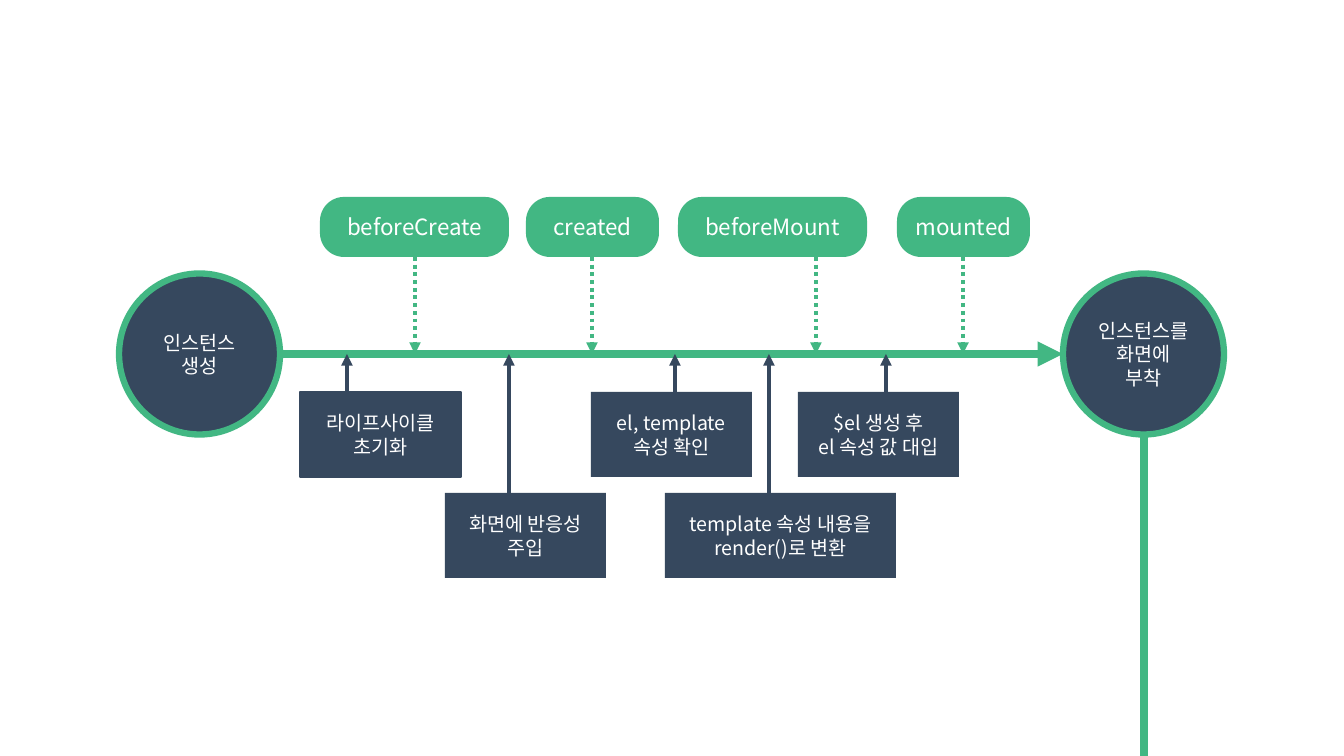
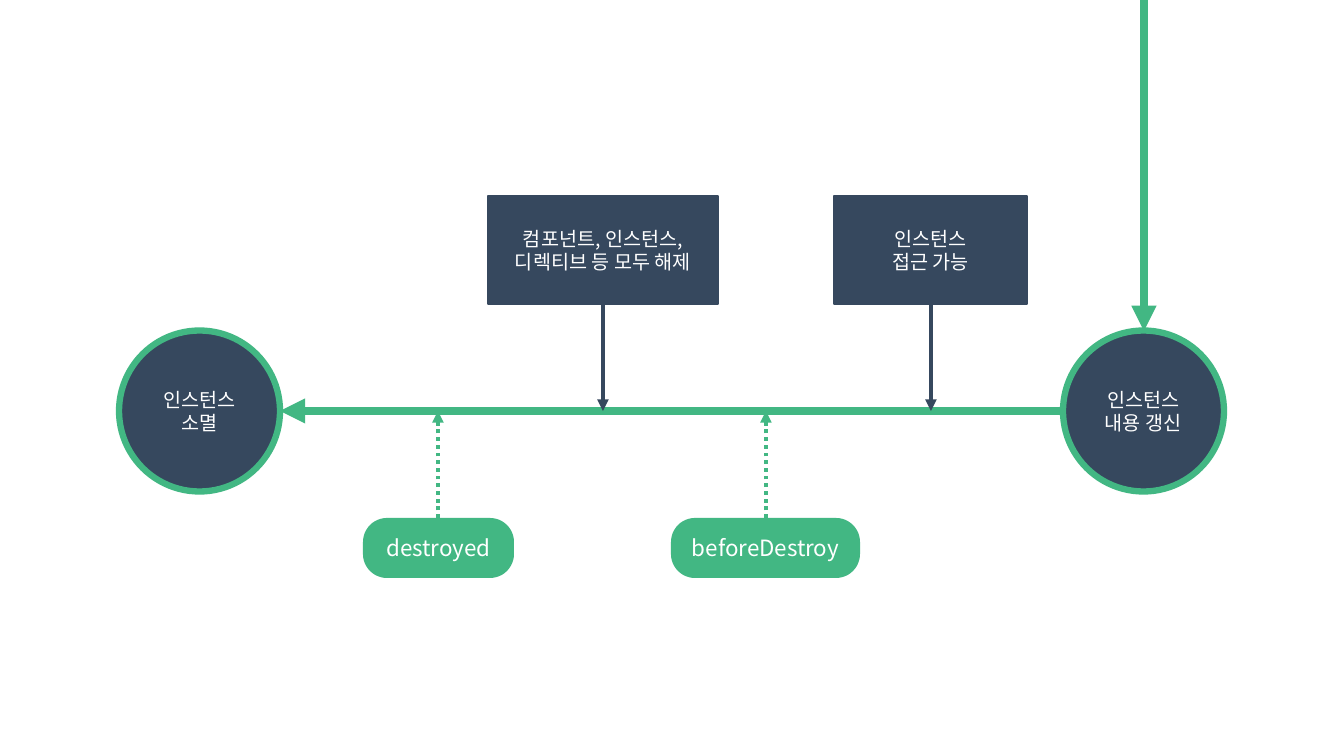
from lxml import etree
from pptx import Presentation
from pptx.dml.color import RGBColor
from pptx.enum.dml import MSO_LINE
from pptx.enum.shapes import MSO_CONNECTOR, MSO_SHAPE
from pptx.enum.text import MSO_ANCHOR, PP_ALIGN
from pptx.oxml.ns import qn
from pptx.util import Emu, Pt

PX = 914400 / 100.8
COLORS = {"green": "42B783", "navy": "36485E", "white": "FFFFFF"}
NOTO = "Noto Sans CJK KR"
WIDTH, HEIGHT = 1344, 756
CIRCLE = 161
LEFT_X, RIGHT_X = 119, 1063
TRUNK_X = 1144
PILL_H = 60

SLIDES = [
    {
        "axis": 354,
        "circles": [(LEFT_X, "인스턴스 생성"), (RIGHT_X, "인스턴스를 화면에 부착")],
        "flow": (LEFT_X + CIRCLE, RIGHT_X),
        "trunk": (434, HEIGHT, False),
        "pill_y": 197,
        "pills": [
            (320, 189, 415, "beforeCreate"),
            (526, 133, 592, "created"),
            (678, 189, 816, "beforeMount"),
            (897, 133, 963, "mounted"),
        ],
        "box_h": 85,
        "boxes": [
            (300, 392, 161, 347, 1, "라이프사이클\n초기화"),
            (591, 392, 161, 675, 0, "el, template\n속성 확인"),
            (798, 392, 161, 886, 0, "$el 생성 후\nel 속성 값 대입"),
            (445, 493, 161, 509, 0, "화면에 반응성 주입"),
            (665, 493, 231, 769, 0, "template 속성 내용을 render()로 변환"),
        ],
    },
    {
        "axis": 411,
        "circles": [(LEFT_X, "인스턴스 소멸"), (RIGHT_X, "인스턴스 내용 갱신")],
        "flow": (RIGHT_X, LEFT_X + CIRCLE),
        "trunk": (0, 331, True),
        "pill_y": 518,
        "pills": [
            (671, 189, 766, "beforeDestroy"),
            (363, 151, 438, "destroyed"),
        ],
        "box_h": 108,
        "boxes": [
            (488, 196, 230, 603, 1, "컴포넌트, 인스턴스, 디렉티브 등 모두 해제"),
            (834, 196, 193, 931, 1, "인스턴스\n접근 가능"),
        ],
    },
]


def add_node(s, kind, box, fill, text, size=14, font=NOTO, line=None, width=0):
    sp = s.shapes.add_shape(kind, *[Emu(round(v * PX)) for v in box])
    sp.shadow.inherit = False
    sp.fill.solid()
    sp.fill.fore_color.rgb = RGBColor.from_string(COLORS[fill])
    if width:
        sp.line.color.rgb = RGBColor.from_string(COLORS[line or fill])
        sp.line.width = Pt(width)
    else:
        sp.line.fill.background()
    tf = sp.text_frame
    tf.word_wrap = True
    tf.vertical_anchor = MSO_ANCHOR.MIDDLE
    tf.text = text
    for p in tf.paragraphs:
        p.alignment = PP_ALIGN.CENTER
        for r in p.runs:
            r.font.size = Pt(size)
            r.font.name = font
            r.font.color.rgb = RGBColor.from_string(COLORS["white"])
            etree.SubElement(r.font._element, qn("a:ea"), typeface=font)
    return sp


def add_arrow(s, x1, y1, x2, y2, color, width, dotted=False, head=True):
    ends = [Emu(round(v * PX)) for v in (x1, y1, x2, y2)]
    cn = s.shapes.add_connector(MSO_CONNECTOR.STRAIGHT, *ends)
    cn.line.color.rgb = RGBColor.from_string(COLORS[color])
    cn.line.width = Pt(width)
    if dotted:
        cn.line.dash_style = MSO_LINE.ROUND_DOT
    if head:
        etree.SubElement(cn.line._get_or_add_ln(), qn("a:tailEnd"), type="triangle")
    etree.SubElement(cn._element.spPr, qn("a:effectLst"))


prs = Presentation()
prs.slide_width = Emu(round(WIDTH * PX))
prs.slide_height = Emu(round(HEIGHT * PX))

for data in SLIDES:
    s = prs.slides.add_slide(prs.slide_layouts[6])
    axis, pill_y, box_h = data["axis"], data["pill_y"], data["box_h"]

    for x, text in data["circles"]:
        box = (x, axis - CIRCLE / 2, CIRCLE, CIRCLE)
        add_node(s, MSO_SHAPE.OVAL, box, "navy", text, font="Karla", line="green", width=4.5)

    start, end = data["flow"]
    add_arrow(s, start, axis, end, axis, "green", 6)

    for x, w, arrow_x, text in data["pills"]:
        box = (x, pill_y, w, PILL_H)
        sp = add_node(s, MSO_SHAPE.ROUNDED_RECTANGLE, box, "green", text, size=16)
        sp.adjustments[0] = 0.4
        edge = pill_y + PILL_H if pill_y < axis else pill_y
        add_arrow(s, arrow_x, edge, arrow_x, axis, "green", 2.75, dotted=True)

    for x, y, w, arrow_x, border, text in data["boxes"]:
        add_node(s, MSO_SHAPE.RECTANGLE, (x, y, w, box_h), "navy", text, width=border)
        edge = y + box_h if y < axis else y
        add_arrow(s, arrow_x, edge, arrow_x, axis, "navy", 2.75)

    top, bottom, head = data["trunk"]
    add_arrow(s, TRUNK_X, top, TRUNK_X, bottom, "green", 6, head=head)

prs.save("out.pptx")
